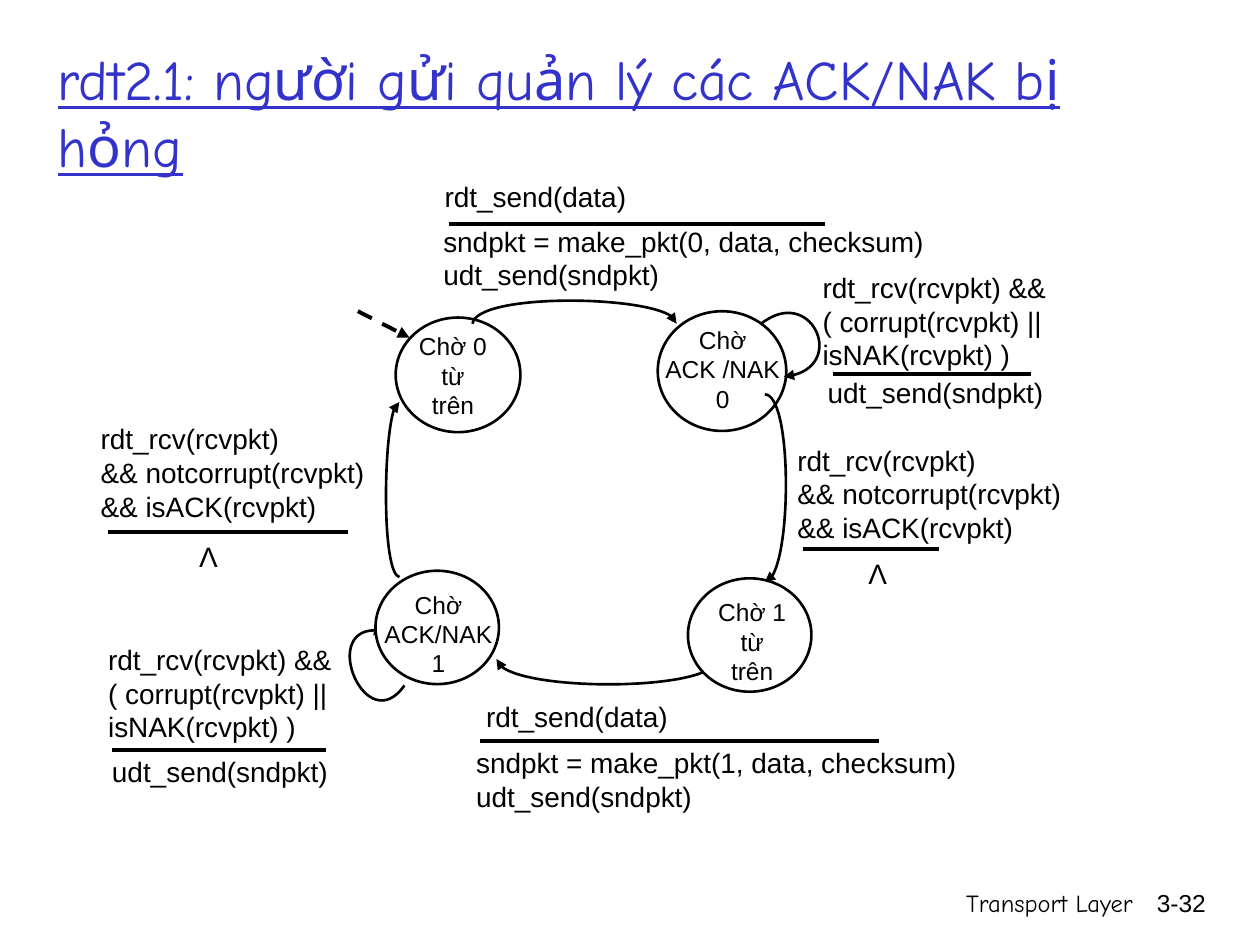
from lxml import etree
from pptx import Presentation
from pptx.dml.color import RGBColor
from pptx.enum.dml import MSO_LINE as Dash
from pptx.enum.shapes import MSO_CONNECTOR as Conn, MSO_SHAPE as Shape
from pptx.enum.text import MSO_ANCHOR as Anchor, MSO_AUTO_SIZE as Auto, PP_ALIGN as Align
from pptx.oxml.ns import qn
from pptx.util import Inches, Pt

BLACK = RGBColor(0x00, 0x00, 0x00)
WHITE = RGBColor(0xFF, 0xFF, 0xFF)
BLUE = RGBColor(0x33, 0x33, 0xCC)
SANS = "Arial"
COMIC = "Comic Neue"


def write(frame, text, size=16, font=SANS, color=BLACK, align=Align.LEFT,
          under=False, wrap=True, anchor=Anchor.TOP):
    frame.word_wrap = wrap
    frame.auto_size = Auto.NONE if wrap else Auto.SHAPE_TO_FIT_TEXT
    frame.vertical_anchor = anchor
    frame.text = text
    for par in frame.paragraphs:
        par.alignment = align
        for run in par.runs:
            run.font.size = Pt(size)
            run.font.name = font
            run.font.color.rgb = color
            run.font.underline = under


def place(item, box):
    item.left, item.top, item.width, item.height = map(Inches, box)


def add_tip(line):
    etree.SubElement(line._get_or_add_ln(), qn("a:tailEnd"), type="triangle")


class Chart:
    thin = 1.5
    thick = 2.25

    def __init__(self, deck):
        self.slide = deck.slides.add_slide(deck.slide_layouts[5])
        self.shapes = self.slide.shapes

    def title(self, text, box):
        head = self.shapes.title
        place(head, box)
        write(head.text_frame, text, size=32, font=COMIC, color=BLUE,
              under=True, anchor=Anchor.MIDDLE)

    def label(self, text, box, home=None, **style):
        area = (home or self.shapes).add_textbox(*map(Inches, box))
        write(area.text_frame, text, **style)

    def stroke(self, line, width):
        line.color.rgb = BLACK
        line.width = Pt(width)

    def state(self, text, ring, box):
        home = self.shapes.add_group_shape().shapes
        oval = home.add_shape(Shape.OVAL, *map(Inches, ring))
        oval.shadow.inherit = False
        oval.fill.solid()
        oval.fill.fore_color.rgb = WHITE
        self.stroke(oval.line, self.thin)
        self.label(text, box, home, size=14, align=Align.CENTER)

    def line(self, start, end, arrow=False):
        link = self.shapes.add_connector(Conn.STRAIGHT, *map(Inches, start + end))
        self.stroke(link.line, self.thick)
        etree.SubElement(link._element.spPr, qn("a:effectLst"))
        if arrow:
            link.line.dash_style = Dash.DASH
            add_tip(link.line)

    def curve(self, *knots, steps=40):
        def spot(t):
            parts = ((1 - t) ** 3, 3 * t * (1 - t) ** 2, 3 * t * t * (1 - t), t ** 3)
            return tuple(Inches(sum(w * k[i] for w, k in zip(parts, knots)))
                         for i in (0, 1))

        dots = [spot(n / steps) for n in range(steps + 1)]
        form = self.shapes.build_freeform(*dots[0])
        form.add_line_segments(dots[1:], close=False)
        arc = form.convert_to_shape()
        track = next(arc._element.iter(qn("a:path")))
        for seg in track.findall(qn("a:lnTo")):
            track.remove(seg)
        bend = etree.SubElement(track, qn("a:cubicBezTo"))
        for x, y in knots[1:]:
            etree.SubElement(bend, qn("a:pt"), x=str(Inches(x) - arc.left),
                             y=str(Inches(y) - arc.top))
        arc.shadow.inherit = False
        arc.fill.background()
        self.stroke(arc.line, self.thin)
        add_tip(arc.line)

    def rule(self, event, box, start, end, act, spot, **style):
        self.label(event, box)
        self.line(start, end)
        self.label(act, spot, **style)


def main():
    deck = Presentation()
    deck.slide_width, deck.slide_height = Inches(10), Inches(7.5)
    fsm = Chart(deck)

    fsm.title("rdt2.1: người gửi quản lý các ACK/NAK bị hỏng", (0.36, 0.26, 9.05, 1.25))
    fsm.label("Transport Layer", (5.92, 7, 3.17, 0.5), size=14, font=COMIC,
              align=Align.RIGHT)
    fsm.label("3-32", (8.93, 7, 0.74, 0.5), size=14, align=Align.RIGHT)

    fsm.state("Chờ 0\ntừ\ntrên", (3.14, 2.52, 0.99, 0.91), (3, 2.58, 1.19, 0.67))
    fsm.state("Chờ\nACK /NAK 0", (5.22, 2.47, 1.02, 0.95), (5.14, 2.53, 1.19, 0.71))

    fsm.line((2.84, 2.47), (3.25, 2.68), arrow=True)
    fsm.curve((3.75, 2.57), (3.78, 2.33), (5.37, 2.34), (5.37, 2.57))
    fsm.curve((6.04, 2.57), (6.43, 2.26), (6.75, 2.94), (6.22, 2.99))
    fsm.curve((6.07, 3.13), (6.28, 3.13), (6.29, 4.59), (6.07, 4.62))
    fsm.curve((5.69, 5.23), (5.69, 5.48), (3.97, 5.5), (3.94, 5.23))
    fsm.curve((3.21, 5.44), (2.91, 5.87), (2.5, 4.91), (3.05, 5.01))
    fsm.curve((3.17, 4.58), (3.03, 4.55), (3.04, 3.19), (3.17, 3.19))

    fsm.state("Chờ 1\ntừ\ntrên", (5.46, 4.59, 0.98, 0.9), (5.36, 4.69, 1.22, 0.67))
    fsm.state("Chờ\nACK/NAK 1", (2.98, 4.53, 0.98, 0.9), (2.91, 4.63, 1.14, 0.67))

    send = "rdt_send(data)"
    make = "sndpkt = make_pkt({}, data, checksum)\nudt_send(sndpkt)"
    fsm.rule(send, (3.43, 1.38, 2.31, 0.33), (3.56, 1.78), (6.55, 1.78),
             make.format(0), (3.42, 1.73, 4.04, 0.44))
    fsm.rule(send, (3.76, 5.5, 2.61, 0.31), (3.81, 5.88), (6.98, 5.88),
             make.format(1), (3.68, 5.87, 4.12, 0.44))

    bad = "rdt_rcv(rcvpkt) &&\n( corrupt(rcvpkt) ||\nisNAK(rcvpkt) )"
    again = "udt_send(sndpkt)"
    fsm.rule(bad, (6.43, 2.1, 2.8, 0.62), (6.61, 2.97), (8.18, 2.97),
             again, (6.47, 2.93, 2.47, 0.44))
    fsm.rule(bad, (0.76, 5.05, 2.2, 0.62), (0.89, 5.95), (2.59, 5.95),
             again, (0.79, 5.94, 1.99, 0.3))

    good = "rdt_rcv(rcvpkt)\n&& notcorrupt(rcvpkt)\n&& isACK(rcvpkt)"
    none = {"align": Align.CENTER, "wrap": False}
    fsm.rule(good, (6.23, 3.47, 3.28, 0.63), (6.37, 4.36), (7.45, 4.36),
             "Λ", (6.79, 4.37, 0.35, 0.37), **none)
    fsm.rule(good, (0.7, 3.3, 2.31, 0.63), (0.86, 4.22), (2.76, 4.22),
             "Λ", (1.48, 4.23, 0.35, 0.37), **none)

    deck.save("out.pptx")


if __name__ == "__main__":
    main()
